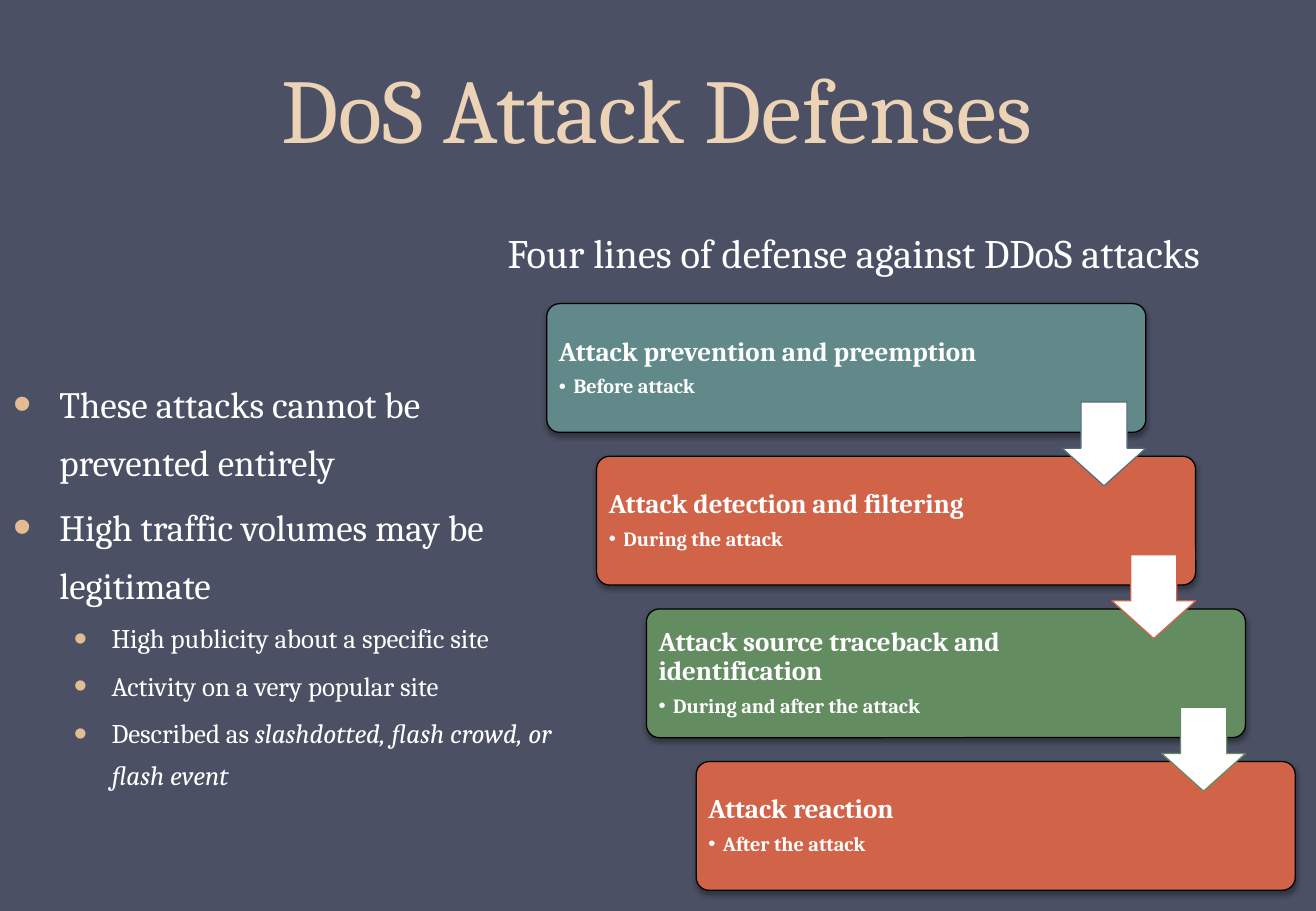
from lxml.etree import SubElement
from pptx import Presentation
from pptx.dml.color import RGBColor
from pptx.enum.shapes import MSO_SHAPE
from pptx.enum.text import MSO_ANCHOR, PP_ALIGN
from pptx.oxml.ns import qn
from pptx.util import Inches, Pt

HUES = {
    "back": "4B5064", "title": "EDD3B6", "dot": "E3BC92", "white": "FFFFFF",
    "black": "000000", "teal": "61898A", "red": "D16349", "green": "648C61",
    "slate": "546D7A",
}
FONT = "Cambria"
CARDS = [
    ("Attack prevention and preemption", "Before attack", "teal", "slate"),
    ("Attack detection and filtering", "During the attack", "red", "red"),
    ("Attack source traceback and identification",
     "During and after the attack", "green", "green"),
    ("Attack reaction", "After the attack", "red", None),
]
POINTS = [
    ("These attacks cannot be prevented entirely", "", 0),
    ("High traffic volumes may be legitimate", "", 0),
    ("High publicity about a specific site", "", 1),
    ("Activity on a very popular site", "", 1),
    ("Described as ", "slashdotted, flash crowd, or flash event", 1),
]
LEVELS = [(22, 0.38, 0.38), (16, 0.81, 0.31)]
WIDE, TALL, ARROW = 4.93, 1.06, 0.69
LEFT, TOP = 4.5, 2.5
STEP_X, STEP_Y = 0.41, (6.27 - TOP) / 3


def hue(name):
    """Return the named colour."""
    return RGBColor.from_string(HUES[name])


def style(para, size, color="white", bold=False):
    """Format every run of a paragraph."""
    for run in para.runs:
        font = run.font
        font.name, font.size, font.bold = FONT, Pt(size), bold
        font.color.rgb = hue(color)


def bullet(para, left, hang, color, size):
    """Give a paragraph a hanging round bullet."""
    props = para._p.get_or_add_pPr()
    props.set("marL", str(Inches(left)))
    props.set("indent", str(-Inches(hang)))
    fill = SubElement(props, qn("a:buClr"))
    SubElement(fill, qn("a:srgbClr"), val=HUES[color])
    SubElement(props, qn("a:buSzPct"), val=str(size * 1000))
    SubElement(props, qn("a:buFont"), typeface="Arial")
    SubElement(props, qn("a:buChar"), char="•")


def box(slide, x, y, w, h):
    """Add a wrapping text box and return its frame."""
    shape = slide.shapes.add_textbox(Inches(x), Inches(y), Inches(w), Inches(h))
    shape.text_frame.word_wrap = True
    return shape.text_frame


def block(slide, kind, x, y, w, h, fill, line, adjust):
    """Add a filled and outlined preset shape."""
    shape = slide.shapes.add_shape(kind, Inches(x), Inches(y), Inches(w), Inches(h))
    for i, value in enumerate(adjust):
        shape.adjustments[i] = value
    shape.fill.solid()
    shape.fill.fore_color.rgb = hue(fill)
    shape.line.color.rgb = hue(line)
    shape.line.width = Pt(0.75)
    shape.shadow.inherit = False
    return shape


def shade(shape):
    """Cast a soft shadow below a shape."""
    effects = shape._element.spPr.find(qn("a:effectLst"))
    cast = SubElement(effects, qn("a:outerShdw"), blurRad=str(Pt(3.1)),
                      dist=str(Pt(1.8)), dir="5400000", rotWithShape="0")
    color = SubElement(cast, qn("a:srgbClr"), val=HUES["black"])
    SubElement(color, qn("a:alpha"), val="35000")


def heading(slide):
    """Add the slide title."""
    frame = box(slide, 0.53, -0.27, 9.75, 1.65)
    frame.vertical_anchor = MSO_ANCHOR.BOTTOM
    frame.text = "DoS Attack Defenses"
    para = frame.paragraphs[0]
    para.alignment = PP_ALIGN.CENTER
    para.line_spacing = Pt(58)
    style(para, 54, "title")


def points(slide):
    """Add the bulleted list on the left."""
    frame = box(slide, 0.01, 2.98, 4.66, 4.35)
    for i, (text, tail, level) in enumerate(POINTS):
        para = frame.add_paragraph() if i else frame.paragraphs[0]
        size, left, hang = LEVELS[level]
        para.text = text
        para.level = level
        para.line_spacing = 1.3
        if i:
            para.space_before = Pt(size * 0.2)
        bullet(para, left, hang, "dot", 140)
        if tail:
            run = para.add_run()
            run.text = tail
            run.font.italic = True
        style(para, size)


def card(slide, x, y, name, time, fill):
    """Add one line of defense with its timing."""
    shade(block(slide, MSO_SHAPE.ROUNDED_RECTANGLE, x, y, WIDE, TALL,
                fill, "black", [0.1]))
    frame = box(slide, x + 0.03, y + 0.03, 3.77, 1)
    frame.vertical_anchor = MSO_ANCHOR.MIDDLE
    frame.margin_left = frame.margin_right = Inches(0.07)
    frame.margin_top = frame.margin_bottom = Inches(0.07)
    frame.text = name
    head, note = frame.paragraphs[0], frame.add_paragraph()
    note.text = time
    note.level = 1
    for para, size, after in ((head, 16, 0.35), (note, 12, 0.15)):
        para.line_spacing = 0.9
        para.space_after = Pt(size * after)
        style(para, size, bold=True)
    bullet(note, 0.12, 0.12, "white", 100)


def stairs(slide):
    """Add the four cards, then the arrows that join them."""
    spots = [(LEFT + i * STEP_X, TOP + i * STEP_Y) for i in range(len(CARDS))]
    for (x, y), (name, time, fill, _) in zip(spots, CARDS):
        card(slide, x, y, name, time, fill)
    for (x, y), (*_, line) in zip(spots, CARDS):
        if line:
            block(slide, MSO_SHAPE.DOWN_ARROW, x + WIDE - ARROW, y + 0.81,
                  ARROW, ARROW, "white", line, [0.55, 0.45])


def main():
    """Build and save the slide."""
    deck = Presentation()
    deck.slide_width, deck.slide_height = Inches(10.83), Inches(7.5)
    slide = deck.slides.add_slide(deck.slide_layouts[6])
    slide.background.fill.solid()
    slide.background.fill.fore_color.rgb = hue("back")
    heading(slide)
    points(slide)
    stairs(slide)
    frame = box(slide, 4.08, 1.83, 6.75, 0.81)
    frame.text = "Four lines of defense against DDoS attacks"
    style(frame.paragraphs[0], 24)
    deck.save("out.pptx")


if __name__ == "__main__":
    main()
